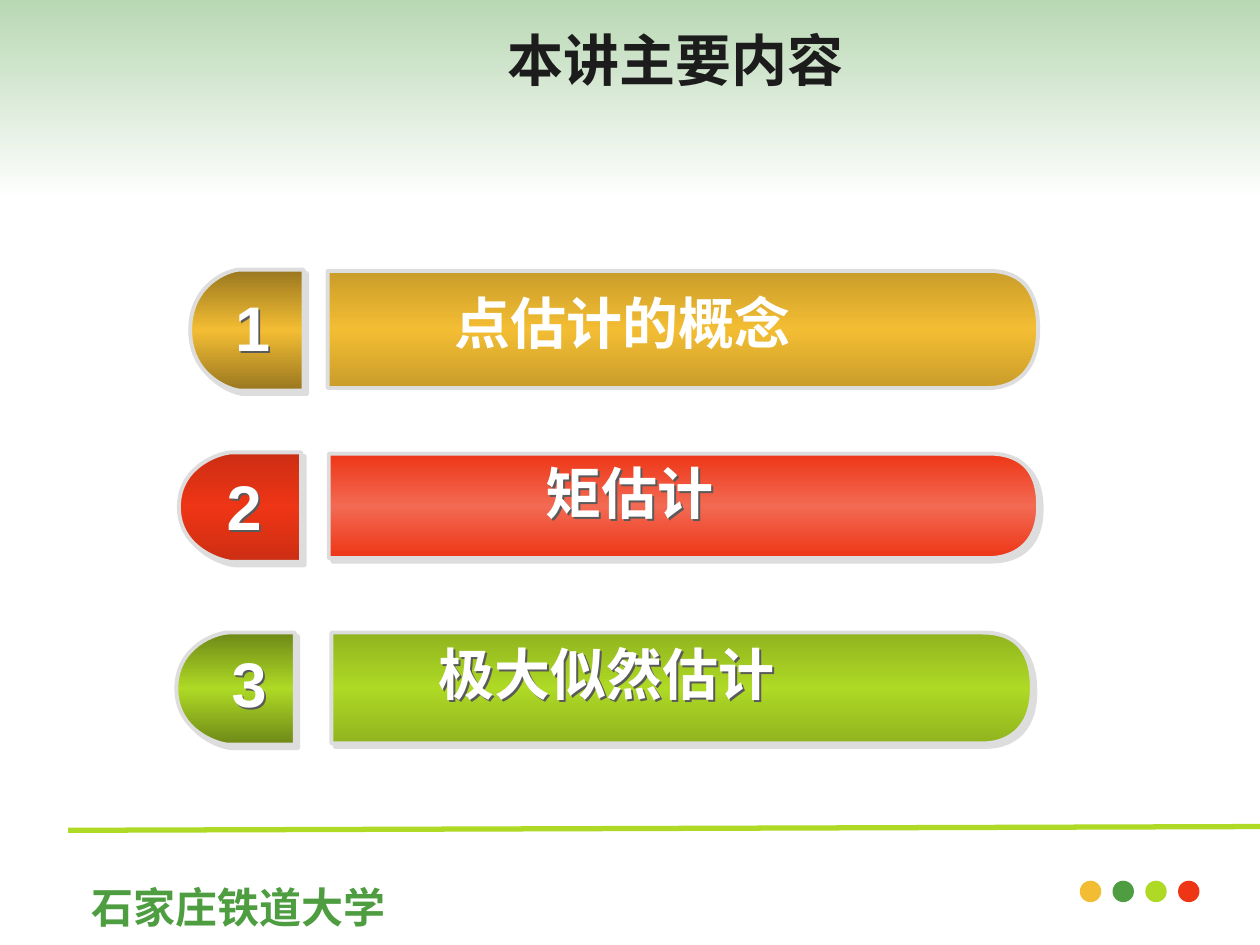
from copy import deepcopy

from lxml import etree
from pptx import Presentation
from pptx.dml.color import RGBColor
from pptx.enum.shapes import MSO_CONNECTOR, MSO_SHAPE
from pptx.enum.text import MSO_ANCHOR, PP_ALIGN
from pptx.oxml import parse_xml
from pptx.oxml.ns import qn
from pptx.util import Inches, Pt

RECTANGLE, OVAL = MSO_SHAPE.RECTANGLE, MSO_SHAPE.OVAL
STRAIGHT = MSO_CONNECTOR.STRAIGHT
CENTER, MIDDLE, TOP = PP_ALIGN.CENTER, MSO_ANCHOR.MIDDLE, MSO_ANCHOR.TOP

WHITE = RGBColor(0xFF, 0xFF, 0xFF)
INK = RGBColor(0x1C, 0x1C, 0x1C)
GREY = RGBColor(0xDD, 0xDD, 0xDD)
SHADE = RGBColor(0x5A, 0x5A, 0x5A)
GREEN = RGBColor(0x4E, 0x9D, 0x41)
LIME = RGBColor(0xAE, 0xD9, 0x25)
LIME_DARK = RGBColor(0x91, 0xB4, 0x1F)
LIME_DEEP = RGBColor(0x6E, 0x89, 0x17)
RED = RGBColor(0xEE, 0x35, 0x16)
RED_LIGHT = RGBColor(0xF2, 0x6A, 0x53)
RED_DARK = RGBColor(0xCC, 0x2E, 0x13)
GOLD = RGBColor(0xF3, 0xBD, 0x33)
GOLD_DARK = RGBColor(0xCA, 0x9D, 0x2A)
GOLD_DEEP = RGBColor(0x99, 0x77, 0x20)

DRAWING = "http://schemas.openxmlformats.org/drawingml/2006/main"
SHADOW = (f'<a:effectLst xmlns:a="{DRAWING}"><a:outerShdw dist="{{}}" dir="2700000" '
          'algn="ctr" rotWithShape="0"><a:srgbClr val="{}"/></a:outerShdw></a:effectLst>')

# Outlines in fractions of width and height: a flat end, then two Bezier curves
CAP_OUTLINE = [(1, 0), (1, 1), (0.44, 1), (0.37, 1), (0, 0.89), (0, 0.5),
               (0, 0.12), (0.34, 0), (0.44, 0)]
BAR_OUTLINE = [(0, 0), (0, 1), (0.93, 1), (0.96, 1), (1, 0.9), (1, 0.5),
               (1, 0.12), (0.97, 0), (0.93, 0)]


def write_text(box, text, size, color, font="Arial", wrap=True, anchor=TOP, shadow=False):
    frame = box.text_frame
    frame.word_wrap = wrap
    frame.vertical_anchor = anchor
    para = frame.paragraphs[0]
    para.alignment = CENTER
    span = para.add_run()
    span.text = text
    span.font.size = Pt(size)
    span.font.bold = True
    span.font.color.rgb = color
    span.font.name = font
    if shadow:
        box._element.spPr.append(parse_xml(SHADOW.format(Pt(1.5), SHADE)))


def add_panel(outline, place, edge, middle, shadow=True):
    left, top, width, height = place
    points = [(Inches(left + x * width), Inches(top + y * height)) for x, y in outline]
    builder = slide.shapes.build_freeform(*points[0])
    builder.add_line_segments(points[1:], close=True)
    panel = builder.convert_to_shape()
    properties = panel._element.spPr
    # The last six points are the controls and ends of the two curves
    segments = list(properties.iter(qn("a:lnTo")))[2:]
    for first in (0, 3):
        curve = etree.Element(qn("a:cubicBezTo"))
        segments[first].addprevious(curve)
        for segment in segments[first:first + 3]:
            curve.append(segment[0])
            segment.getparent().remove(segment)
    panel.line.color.rgb = GREY
    panel.line.width = Pt(2.25)
    panel.fill.gradient()
    panel.fill.gradient_angle = 270
    for stop in panel.fill.gradient_stops:
        stop.color.rgb = edge
    stop_list = properties.find(f".//{qn('a:gsLst')}")
    stop_list.insert(1, deepcopy(stop_list[0]))
    for stop, position in zip(panel.fill.gradient_stops, (0, 0.5, 1)):
        stop.position = position
    panel.fill.gradient_stops[1].color.rgb = middle
    panel.shadow.inherit = False
    if shadow:
        properties.replace(properties.find(qn("a:effectLst")),
                           parse_xml(SHADOW.format(Pt(2.8), GREY)))


deck = Presentation()
deck.slide_width, deck.slide_height = Inches(10), Inches(7.5)
slide = deck.slides.add_slide(deck.slide_layouts[5])
shapes = slide.shapes

# Header band fading to white
band = shapes.add_shape(RECTANGLE, 0, 0, Inches(10), Inches(1.57))
band.shadow.inherit = False
band.line.fill.background()
band.fill.gradient()
band.fill.gradient_angle = 270
for stop, color, position in zip(band.fill.gradient_stops, (GREEN, WHITE), (0, 1)):
    stop.color.rgb = color
    stop.position = position
for color_element in band._element.spPr.iter(qn("a:srgbClr")):
    color_element.append(parse_xml(f'<a:alpha xmlns:a="{DRAWING}" val="40000"/>'))

# Footer: dots, school name and rule
for index, color in enumerate((GOLD, GREEN, LIME, RED)):
    dot = shapes.add_shape(OVAL, Inches(8.57 + 0.26 * index), Inches(6.99),
                           Inches(0.17), Inches(0.17))
    dot.shadow.inherit = False
    dot.fill.solid()
    dot.fill.fore_color.rgb = color
    dot.line.fill.background()

school = shapes.add_textbox(Inches(0.59), Inches(6.95), Inches(2.6), Inches(0.34))
write_text(school, "石家庄铁道大学", 24, GREEN, font="DejaVu Sans", wrap=False)

rule = shapes.add_connector(STRAIGHT, Inches(0.54), Inches(6.59), Inches(10), Inches(6.56))
rule.line.color.rgb = LIME
rule.line.width = Pt(3)
rule._element.spPr.append(parse_xml(f'<a:effectLst xmlns:a="{DRAWING}"/>'))

# Title, moved above the band
title = shapes.title
title.left, title.top, title.width, title.height = Inches(0.36), 0, Inches(10), Inches(0.94)
write_text(title, "本讲主要内容", 32, INK, anchor=MIDDLE)
shapes._spTree.append(title._element)

# Topics: cap place and colours, number place, bar place and colours, label place, shadow
topics = [
    ("1", (1.51, 2.14, 0.9, 0.96), GOLD_DEEP, GOLD, (1.65, 2.24, 0.71),
     "点估计的概念", (2.6, 2.15, 5.64, 0.93), GOLD_DARK, GOLD, (2.98, 2.24, 3.92), False),
    ("2", (1.42, 3.59, 0.97, 0.87), RED_DARK, RED, (1.7, 3.66, 0.47),
     "矩估计", (2.61, 3.6, 5.63, 0.83), RED, RED_LIGHT, (2.62, 3.59, 4.75), True),
    ("3", (1.4, 5.02, 0.94, 0.89), LIME_DEEP, LIME, (1.74, 5.07, 0.47),
     "极大似然估计", (2.63, 5.02, 5.56, 0.88), LIME_DARK, LIME, (2.44, 5.03, 4.75), True),
]
for (number, cap_place, cap_edge, cap_middle, number_place,
     label, bar_place, bar_edge, bar_middle, label_place, raised) in topics:
    add_panel(CAP_OUTLINE, cap_place, cap_edge, cap_middle)
    add_panel(BAR_OUTLINE, bar_place, bar_edge, bar_middle, shadow=raised)
    for text, size, place, height, shadow in ((number, 36, number_place, 0.7, True),
                                              (label, 32, label_place, 0.64, raised)):
        left, top, width = place
        box = shapes.add_textbox(Inches(left), Inches(top), Inches(width), Inches(height))
        write_text(box, text, size, WHITE, shadow=shadow)

deck.save("out.pptx")
